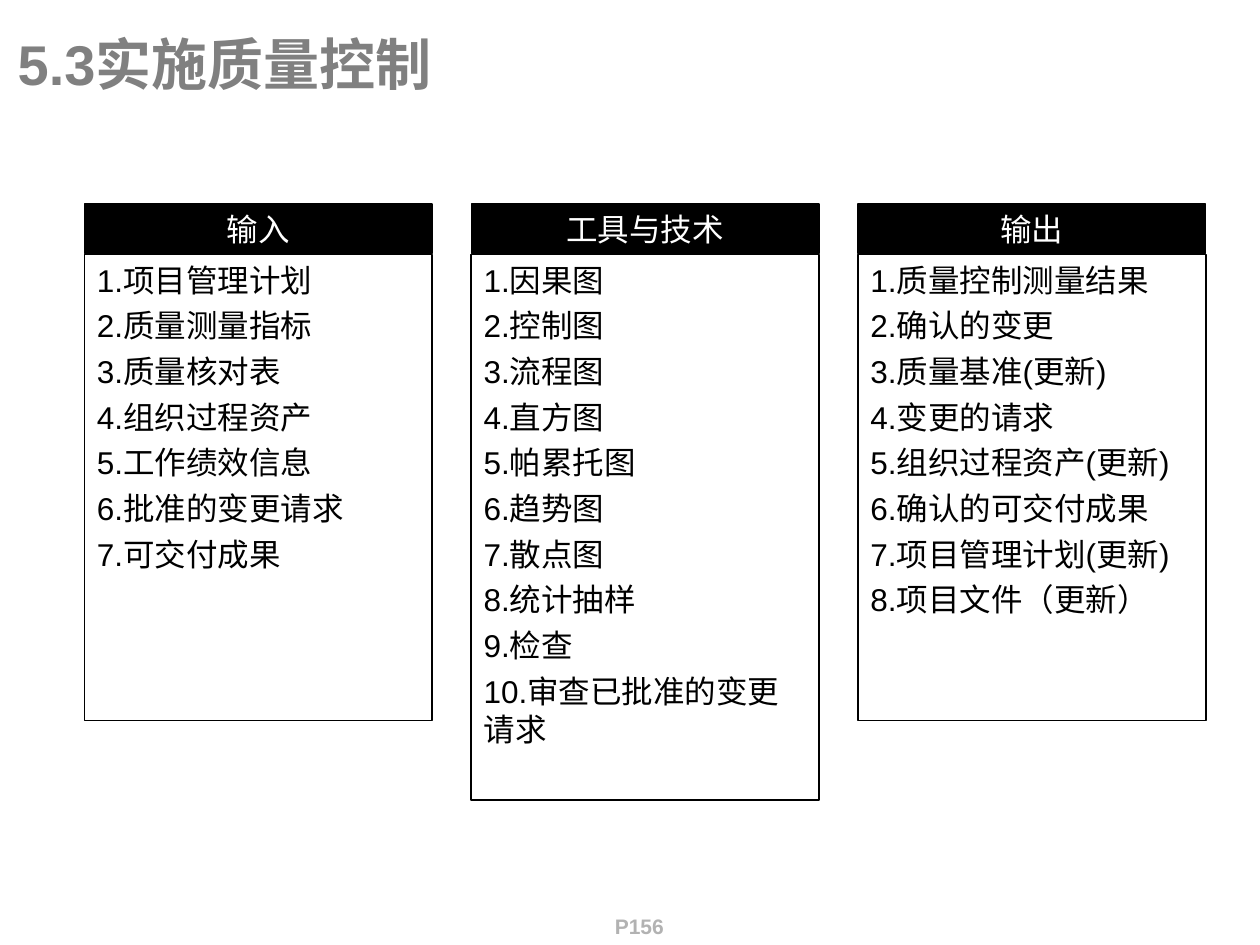
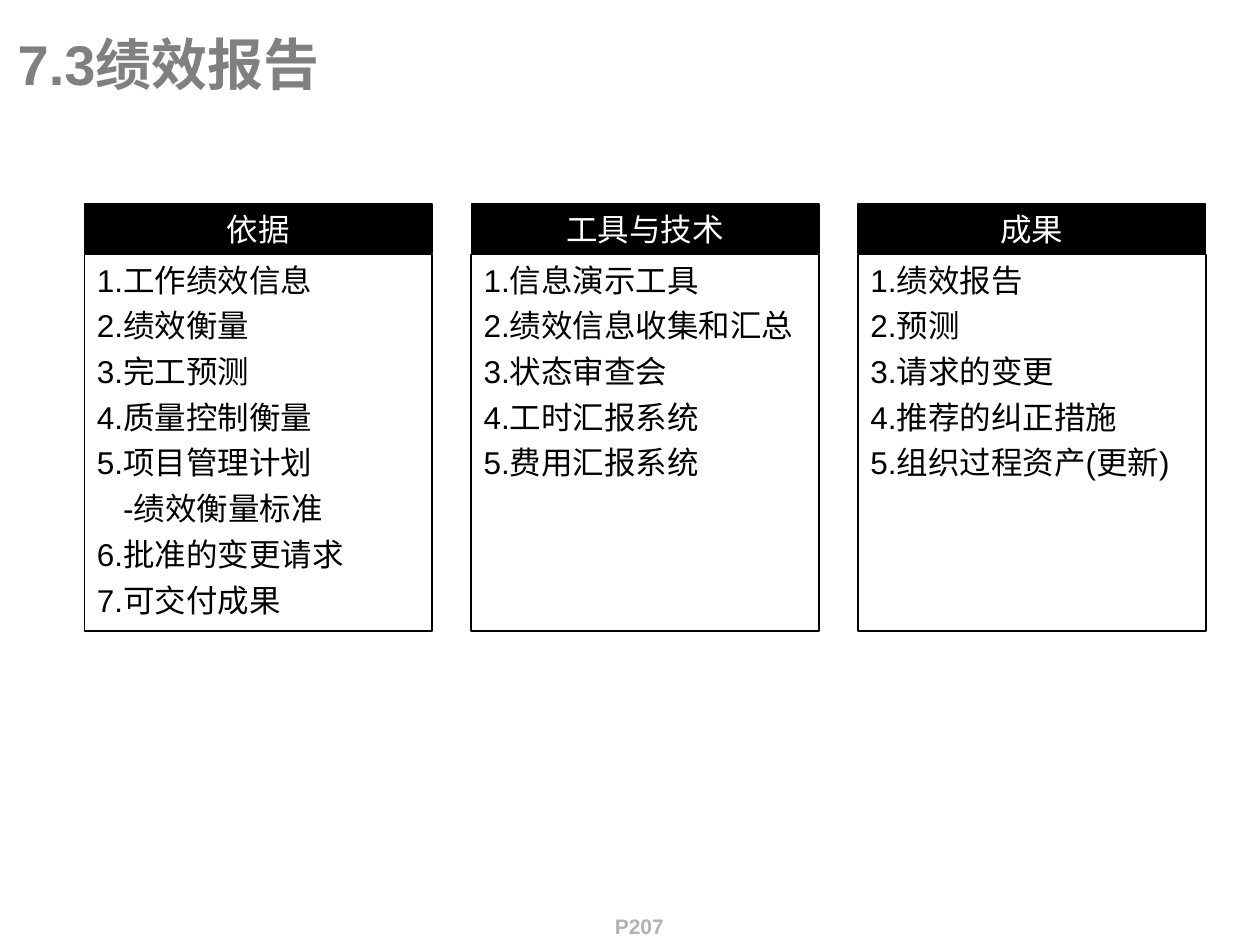
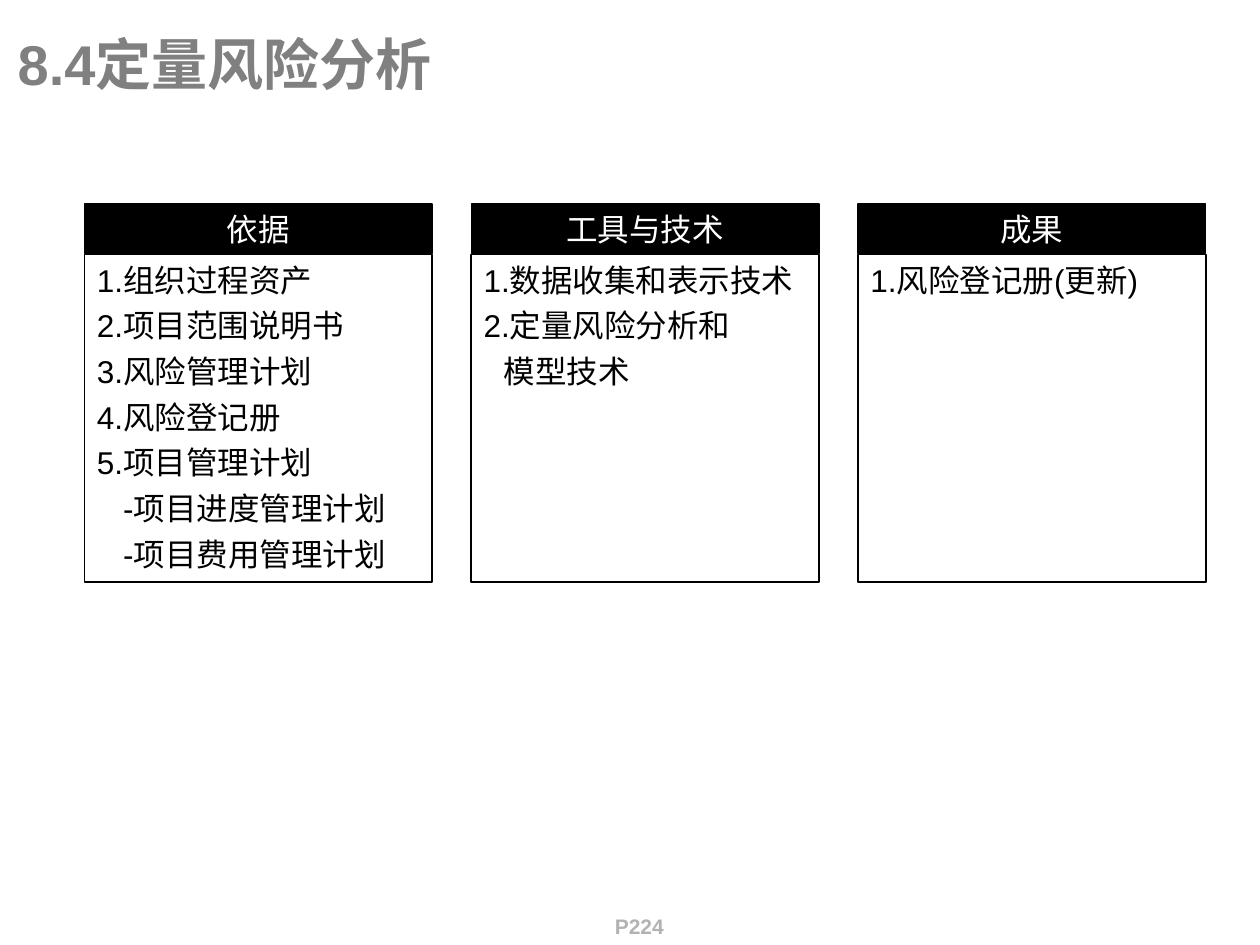
import pptx
import pptx.dml.color
import pptx.enum.lang
import pptx.enum.shapes
import pptx.enum.text
from pptx.util import Inches, Pt

COLORS = {"title": "808080", "footer": "B2B2B2", "ink": "000000", "paper": "FFFFFF"}
FONT = "Arial"
COLUMN_LEFT, COLUMN_PITCH, COLUMN_WIDTH = 0.67, 3.07, 2.76
HEADER_TOP, HEADER_HEIGHT, BODY_TOP = 1.62, 0.39, 2.02
DASH_INDENT, CONTINUATION_INDENT = 0.21, 0.16
ALIGN = pptx.enum.text.PP_ALIGN
ANCHOR = pptx.enum.text.MSO_ANCHOR

# Each column: heading, body height, lines. A line is text or (indent, text).
SLIDES = [
    ("5.3实施质量控制", "P156", [
        ("输入", 3.7, ["1.项目管理计划", "2.质量测量指标", "3.质量核对表", "4.组织过程资产",
                     "5.工作绩效信息", "6.批准的变更请求", "7.可交付成果"]),
        ("工具与技术", 4.33, ["1.因果图", "2.控制图", "3.流程图", "4.直方图", "5.帕累托图",
                         "6.趋势图", "7.散点图", "8.统计抽样", "9.检查",
                         "10.审查已批准的变更请求"]),
        ("输出", 3.7, ["1.质量控制测量结果", "2.确认的变更", "3.质量基准(更新)", "4.变更的请求",
                     "5.组织过程资产(更新)", "6.确认的可交付成果", "7.项目管理计划(更新)",
                     "8.项目文件（更新）"]),
    ]),
    ("7.3绩效报告", "P207", [
        ("依据", 2.99, ["1.工作绩效信息", "2.绩效衡量", "3.完工预测", "4.质量控制衡量",
                      "5.项目管理计划", (DASH_INDENT, "-绩效衡量标准"),
                      "6.批准的变更请求", "7.可交付成果"]),
        ("工具与技术", 2.99, ["1.信息演示工具", "2.绩效信息收集和汇总", "3.状态审查会",
                         "4.工时汇报系统", "5.费用汇报系统"]),
        ("成果", 2.99, ["1.绩效报告", "2.预测", "3.请求的变更", "4.推荐的纠正措施",
                      "5.组织过程资产(更新)"]),
    ]),
    ("8.4定量风险分析", "P224", [
        ("依据", 2.6, ["1.组织过程资产", "2.项目范围说明书", "3.风险管理计划", "4.风险登记册",
                     "5.项目管理计划", (DASH_INDENT, "-项目进度管理计划"),
                     (DASH_INDENT, "-项目费用管理计划")]),
        ("工具与技术", 2.6, ["1.数据收集和表示技术", "2.定量风险分析和",
                        (CONTINUATION_INDENT, "模型技术")]),
        ("成果", 2.6, ["1.风险登记册(更新)"]),
    ]),
]


def color(name):
    return pptx.dml.color.RGBColor.from_string(COLORS[name])


class Deck:
    def __init__(self):
        self.presentation = pptx.Presentation()
        self.presentation.slide_width = Inches(10)
        self.presentation.slide_height = Inches(7.5)
        self.slide = None

    def add_lines(self, shape, lines, size, color_name, bold=False, align=ALIGN.LEFT,
                  anchor=ANCHOR.TOP, wrap=True):
        frame = shape.text_frame
        frame.word_wrap = wrap
        frame.auto_size = pptx.enum.text.MSO_AUTO_SIZE.NONE
        frame.vertical_anchor = anchor
        for index, line in enumerate(lines):
            indent, text = line if isinstance(line, tuple) else (0, line)
            paragraph = frame.add_paragraph() if index else frame.paragraphs[0]
            paragraph.alignment = align
            if index:
                paragraph.space_before = Pt(4.5)
            if indent:
                paragraph._p.get_or_add_pPr().set("marL", str(Inches(indent)))
            run = paragraph.add_run()
            run.text = text
            run.font.name = FONT
            run.font.size = Pt(size)
            run.font.bold = bold
            run.font.color.rgb = color(color_name)
            run.font.language_id = pptx.enum.lang.MSO_LANGUAGE_ID.SIMPLIFIED_CHINESE

    def add_slide(self, title, page):
        layout = self.presentation.slide_layouts[5]
        self.slide = self.presentation.slides.add_slide(layout)
        shape = self.slide.shapes.title
        shape.left, shape.top = Inches(0.04), Inches(0.17)
        shape.width, shape.height = Inches(9.96), Inches(0.66)
        self.add_lines(shape, [title], 32, "title", bold=True, anchor=ANCHOR.MIDDLE)
        footer = self.slide.shapes.add_textbox(
            Inches(4.76), Inches(7.2), Inches(0.63), Inches(0.33))
        self.add_lines(footer, [page], 12, "footer", bold=True, align=ALIGN.CENTER, wrap=False)

    def rectangle(self, left, top, height, line_width, fill=None):
        shape = self.slide.shapes.add_shape(
            pptx.enum.shapes.MSO_SHAPE.RECTANGLE,
            Inches(left), Inches(top), Inches(COLUMN_WIDTH), Inches(height))
        shape.shadow.inherit = False
        if fill:
            shape.fill.solid()
            shape.fill.fore_color.rgb = color(fill)
        else:
            shape.fill.background()
        shape.line.color.rgb = color("ink")
        shape.line.width = Pt(line_width)
        return shape

    def column(self, index, heading, height, lines):
        left = COLUMN_LEFT + index * COLUMN_PITCH
        header = self.rectangle(left, HEADER_TOP, HEADER_HEIGHT, 0.75, fill="ink")
        self.add_lines(header, [heading], 18, "paper", align=ALIGN.CENTER)
        body = self.rectangle(left, BODY_TOP, height, 1)
        self.add_lines(body, lines, 18, "ink")


def main():
    deck = Deck()
    for title, page, columns in SLIDES:
        deck.add_slide(title, page)
        for index, (heading, height, lines) in enumerate(columns):
            deck.column(index, heading, height, lines)
    deck.presentation.save("out.pptx")


if __name__ == "__main__":
    main()
